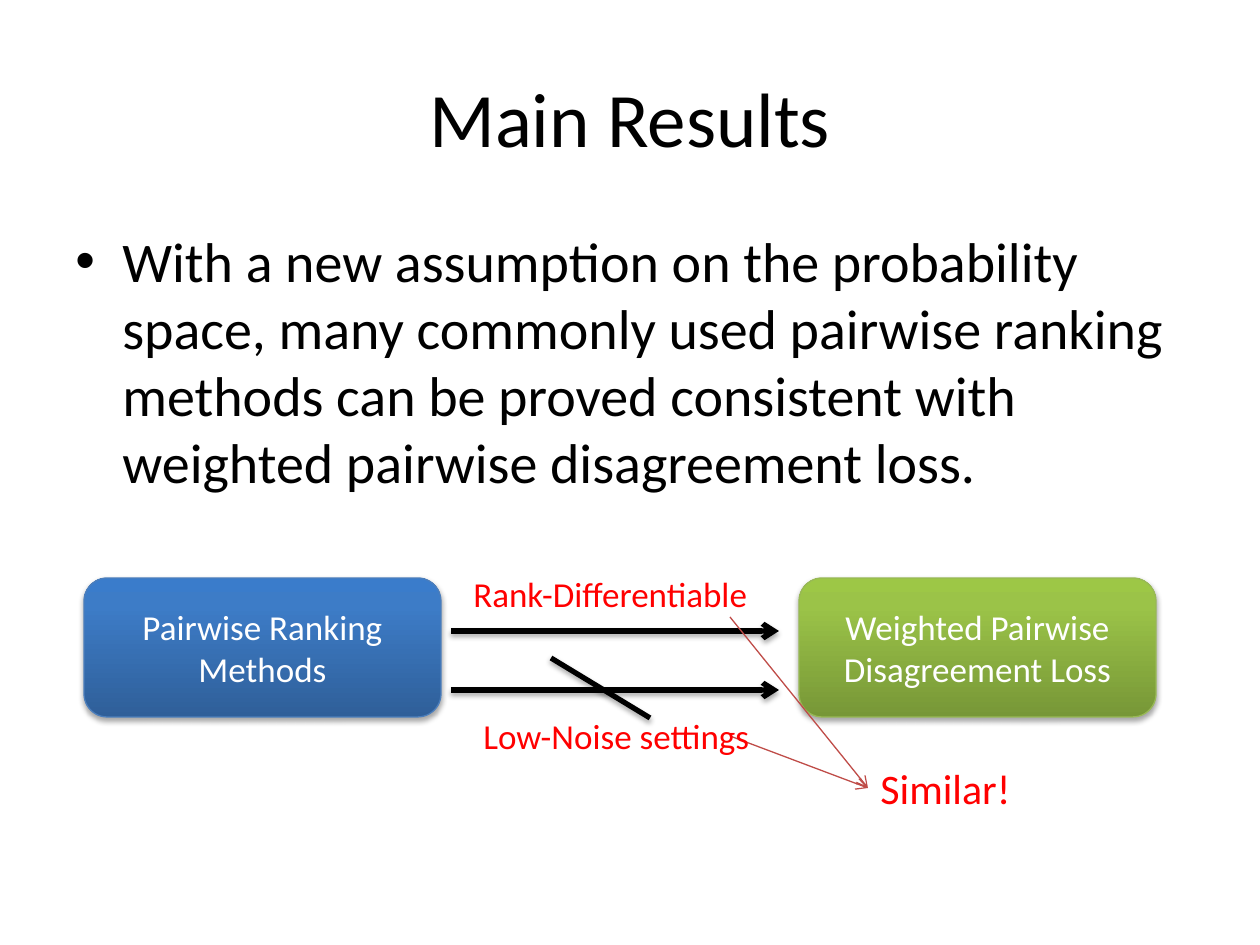
"""Build the Main Results slide with its ranking diagram."""
from copy import deepcopy
from pptx import Presentation
from pptx.dml.color import RGBColor
from pptx.enum.shapes import MSO_CONNECTOR as Link, MSO_SHAPE as Shape
from pptx.enum.text import MSO_ANCHOR as Anchor, PP_ALIGN as Align
from pptx.oxml import parse_xml
from pptx.util import Pt

BLACK = RGBColor(0, 0, 0)
WHITE = RGBColor(255, 255, 255)
RED = RGBColor(255, 0, 0)
BRICK = RGBColor(0xBF, 0x4C, 0x48)
BLUES = [RGBColor.from_string(c) for c in ("2F5F99", "3D7CC7", "3A7CCB", "4B7EBC")]
GREENS = [RGBColor.from_string(c) for c in ("779737", "9BC348", "9DC746", "98B955")]
PX = 914400 / 126
NS = 'xmlns:a="http://schemas.openxmlformats.org/drawingml/2006/main"'
SHADOW = (
    '<a:outerShdw blurRad="40000" dist="23000" dir="5400000" rotWithShape="0">'
    '<a:srgbClr val="000000"><a:alpha val="35000"/></a:srgbClr></a:outerShdw>'
)


def px(*vals):
    return [round(v * PX) for v in vals]


def write(shape, text, size, color, align, anchor):
    frame = shape.text_frame
    frame.word_wrap = True
    frame.vertical_anchor = anchor
    frame.text = text
    para = frame.paragraphs[0]
    para.alignment = align
    font = para.runs[0].font
    font.name, font.size = "Calibri", Pt(size)
    font.color.rgb = color
    return para


deck = Presentation()
deck.slide_width, deck.slide_height = px(1260, 945)
slide = deck.slides.add_slide(deck.slide_layouts[6])
shapes = slide.shapes

title = shapes.add_textbox(*px(63, 38, 1134, 158))
write(title, "Main Results", 44, BLACK, Align.CENTER, Anchor.MIDDLE)

body = shapes.add_textbox(*px(63, 220, 1134, 421))
para = write(
    body,
    "With a new assumption on the probability space, many commonly used pairwise "
    "ranking methods can be proved consistent with weighted pairwise disagreement loss.",
    32, BLACK, Align.LEFT, Anchor.TOP,
)
para.space_before = Pt(6.4)
props = para._p.get_or_add_pPr()
indent = px(47)[0]
props.set("marL", str(indent))
props.set("indent", str(-indent))
props.append(parse_xml(f'<a:buFont {NS} typeface="Arial"/>'))
props.append(parse_xml(f'<a:buChar {NS} char="•"/>'))

for left, text, tones in (
    (84, "Pairwise Ranking Methods", BLUES),
    (799, "Weighted Pairwise Disagreement Loss", GREENS),
):
    box = shapes.add_shape(Shape.ROUNDED_RECTANGLE, *px(left, 578, 357, 139))
    box.fill.gradient()
    box.fill.gradient_angle = 90
    stops = box._element.spPr.gradFill.gsLst
    stops.append(deepcopy(stops[-1]))
    for stop, spot, tone in zip(box.fill.gradient_stops, (0, 0.8, 1), tones):
        stop.position = spot
        stop.color.rgb = tone
    box.line.color.rgb = tones[-1]
    box.line.width = Pt(0.75)
    box._element.spPr.append(parse_xml(f"<a:effectLst {NS}>{SHADOW}</a:effectLst>"))
    write(box, text, 20, WHITE, Align.CENTER, Anchor.MIDDLE)

for ends, color, width, head, effect in (
    ((451, 631, 779, 631), BLACK, 3, True, SHADOW),
    ((451, 690, 779, 690), BLACK, 3, True, SHADOW),
    ((551, 658, 650, 718), BLACK, 3, False, SHADOW),
    ((730, 617, 868, 788), BRICK, 0.75, True, ""),
    ((730, 736, 868, 788), BRICK, 0.75, True, ""),
):
    link = shapes.add_connector(Link.STRAIGHT, *px(*ends))
    link.line.color.rgb = color
    link.line.width = Pt(width)
    if head:
        link.line._get_or_add_ln().append(parse_xml(f'<a:tailEnd {NS} type="arrow"/>'))
    link._element.spPr.append(parse_xml(f"<a:effectLst {NS}>{effect}</a:effectLst>"))

for place, text, size in (
    ((461, 566, 338, 55), "Rank-Differentiable", 20),
    ((471, 708, 367, 55), "Low-Noise settings", 20),
    ((868, 756, 248, 63), "Similar!", 24),
):
    label = shapes.add_textbox(*px(*place))
    write(label, text, size, RED, Align.LEFT, Anchor.TOP)

deck.save("out.pptx")
